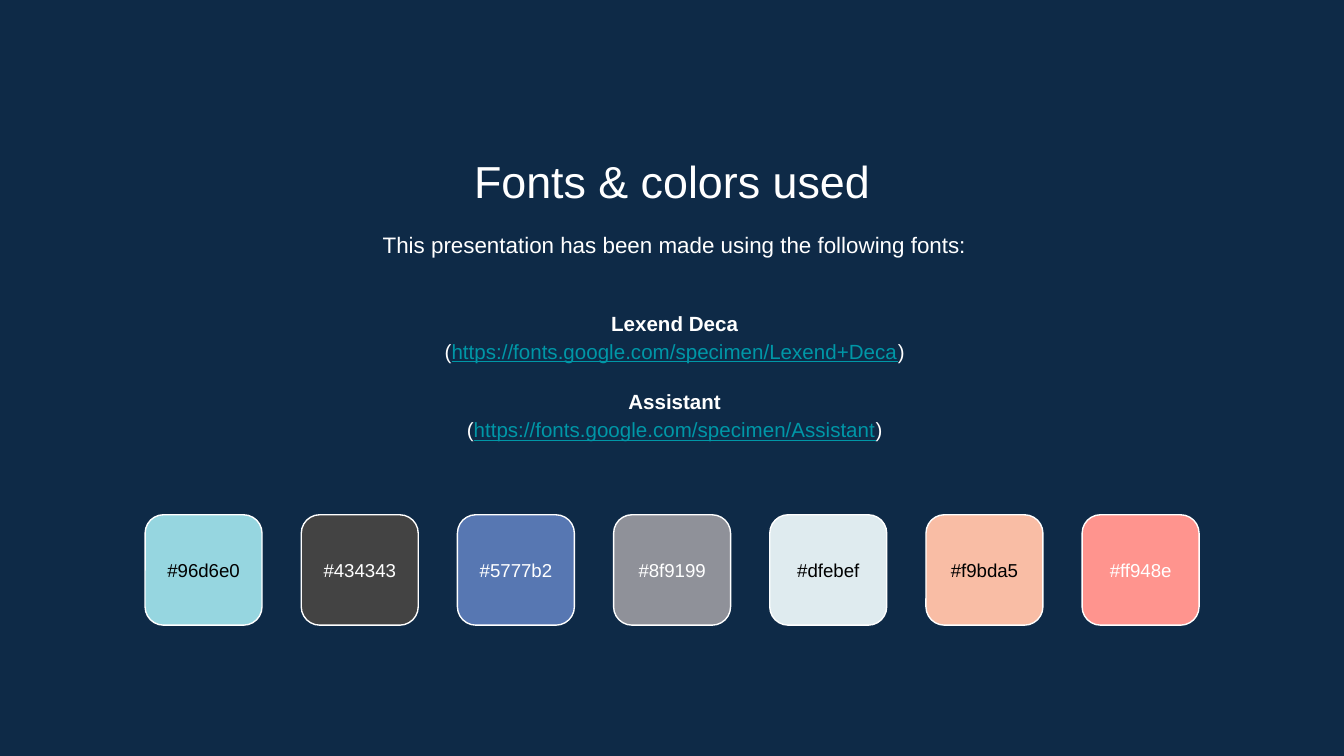
from pptx import Presentation
from pptx.dml.color import RGBColor
from pptx.enum.shapes import MSO_SHAPE as Shape
from pptx.enum.text import MSO_ANCHOR as Anchor, PP_ALIGN as Align
from pptx.util import Inches, Pt

WHITE, BLACK, NAVY, TEAL = "FFFFFF", "000000", "0E2A47", "0097A7"
FONTS = ["Lexend Deca", "Assistant"]
SITE = "https://fonts.google.com/specimen/"
TONES = [
    ("#96d6e0", BLACK),
    ("#434343", WHITE),
    ("#5777b2", WHITE),
    ("#8f9199", WHITE),
    ("#dfebef", BLACK),
    ("#f9bda5", BLACK),
    ("#ff948e", WHITE),
]


def color(code):
    return RGBColor.from_string(code.lstrip("#").upper())


class Deck:
    face = "Arial"

    def __init__(self, wide, high):
        self.prs = Presentation()
        self.prs.slide_width, self.prs.slide_height = Inches(wide), Inches(high)
        self.slide = self.prs.slides.add_slide(self.prs.slide_layouts[6])

    def back(self, tone):
        fill = self.slide.background.fill
        fill.solid()
        fill.fore_color.rgb = color(tone)

    def area(self, left, top, width, height):
        col, row = self.prs.slide_width / 100, self.prs.slide_height / 100
        return [int(n) for n in (left * col, top * row, width * col, height * row)]

    def frame(self, shape, inset, anchor):
        frame = shape.text_frame
        frame.word_wrap = True
        frame.vertical_anchor = anchor
        frame.margin_left = frame.margin_right = Inches(inset)
        frame.margin_top = frame.margin_bottom = Inches(inset)
        return frame

    def style(self, para, size, tone=WHITE, bold=False):
        para.alignment = Align.CENTER
        font = para.font
        font.name, font.size, font.bold = self.face, Pt(size), bold
        font.color.rgb = color(tone)

    def text(self, words, size, spot, lead=1.0):
        box = self.slide.shapes.add_textbox(*self.area(*spot))
        para = self.frame(box, 0.1, Anchor.TOP).paragraphs[0]
        para.text, para.line_spacing = words, lead
        self.style(para, size)

    def fonts(self, names, spot, size=11, lead=1.15, gap=11.6):
        box = self.slide.shapes.add_textbox(*self.area(*spot))
        frame = self.frame(box, 0.1, Anchor.MIDDLE)
        for i, name in enumerate(names):
            head = frame.add_paragraph() if i else frame.paragraphs[0]
            head.text = name
            if i:
                head.space_before = Pt(gap)
            link = frame.add_paragraph()
            for part in ("(", SITE + name.replace(" ", "+"), ")"):
                run = link.add_run()
                run.text = part
                if part.startswith(SITE):
                    run.font.underline = True
                    run.font.color.rgb = color(TEAL)
            for para in (head, link):
                para.line_spacing = lead
                self.style(para, size, bold=para is head)

    def swatch(self, code, ink, spot):
        tile = self.slide.shapes.add_shape(Shape.ROUNDED_RECTANGLE, *self.area(*spot))
        tile.shadow.inherit = False
        tile.fill.solid()
        tile.fill.fore_color.rgb = color(code)
        tile.line.color.rgb = color(WHITE)
        tile.line.width = Pt(0.75)
        para = self.frame(tile, 0, Anchor.MIDDLE).paragraphs[0]
        para.text = code
        self.style(para, 10, ink)


def main():
    deck = Deck(10, 10 * 9 / 16)
    deck.back(NAVY)
    deck.text("Fonts & colors used", 24, (11.45, 18.55, 77.1, 9.4))
    deck.text(
        "This presentation has been made using the following fonts:",
        12, (11.65, 28.3, 77.1, 8.5), 1.15,
    )
    deck.fonts(FONTS, (11.65, 37.35, 77.1, 24.4))
    for i, (code, ink) in enumerate(TONES):
        deck.swatch(code, ink, (10.8 + 11.62 * i, 68.1, 8.7, 14.6))
    deck.prs.save("out.pptx")


if __name__ == "__main__":
    main()
